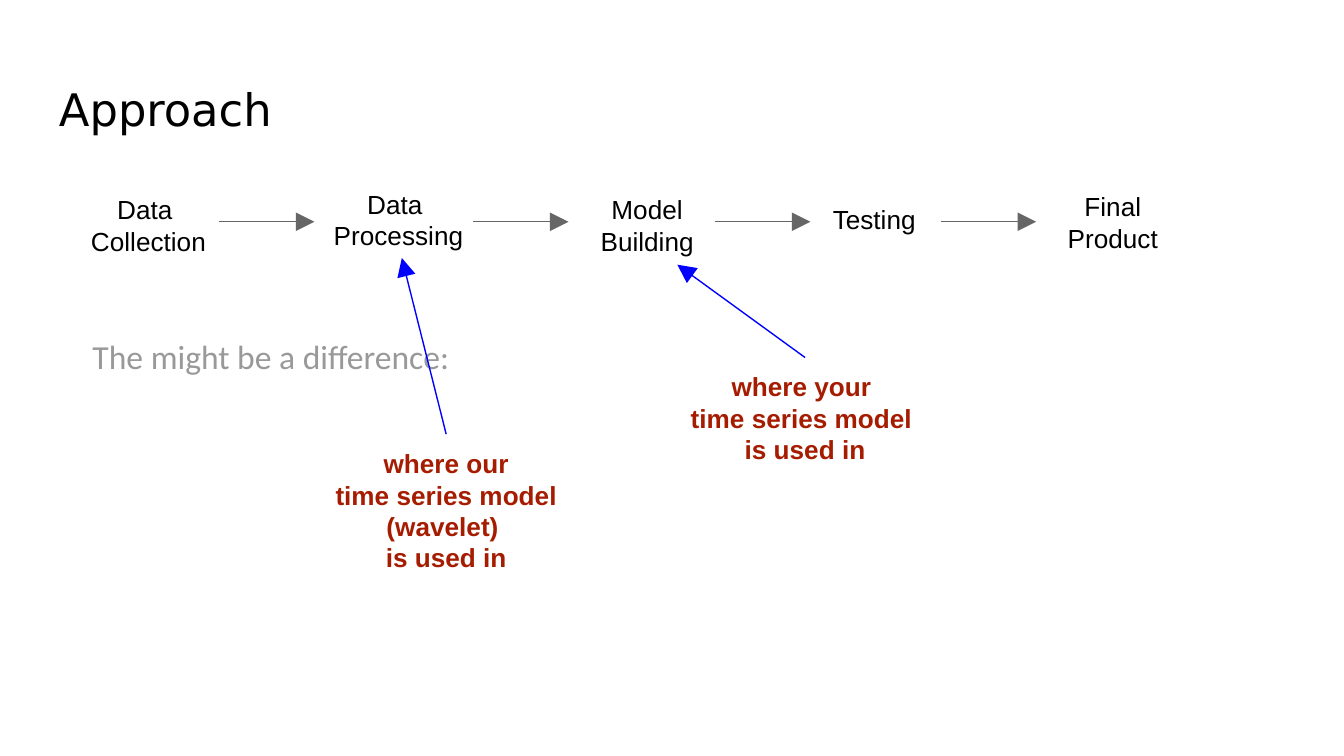
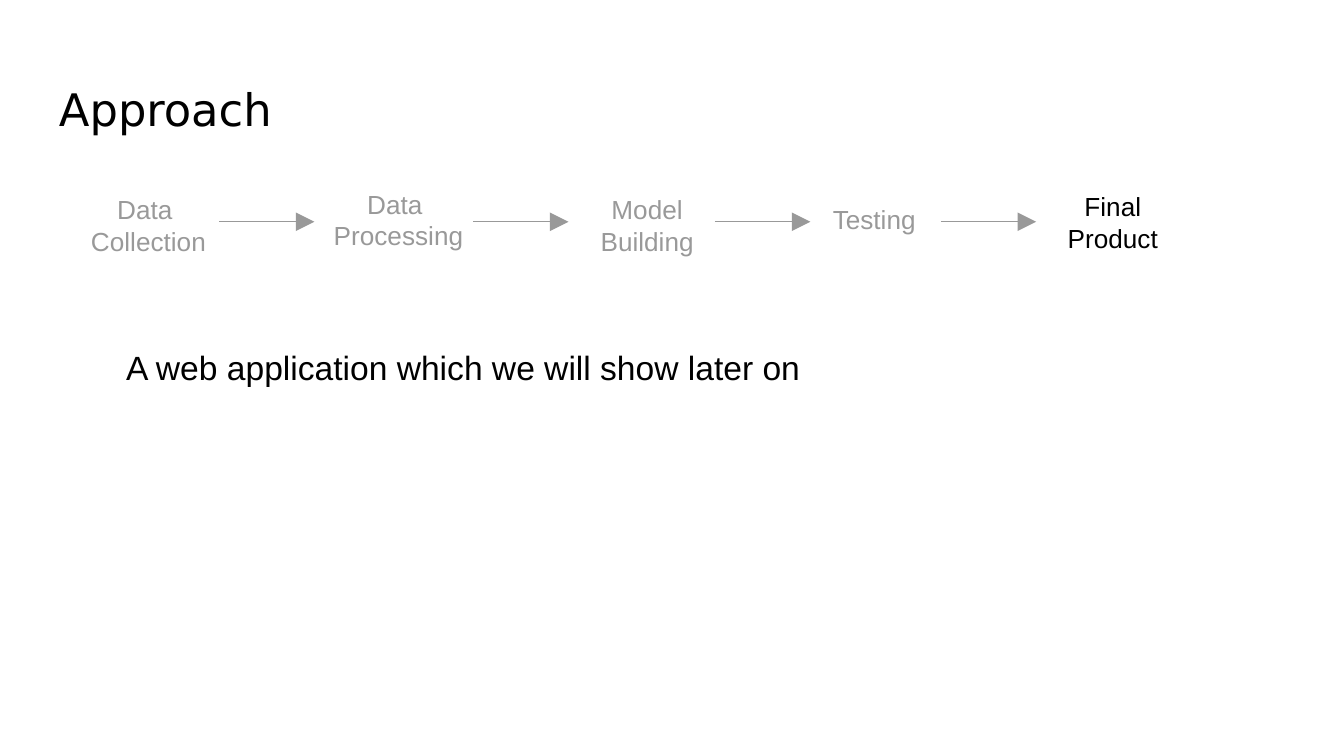
"""Build the two slides that walk through the project approach."""
from dataclasses import dataclass

from lxml.etree import SubElement
from pptx import Presentation
from pptx.dml.color import RGBColor
from pptx.enum.shapes import MSO_CONNECTOR as Connector
from pptx.enum.text import MSO_ANCHOR as Anchor, PP_ALIGN as Align
from pptx.oxml.ns import qn
from pptx.slide import Slide
from pptx.util import Emu, Inches, Pt

WIDTH, HEIGHT = Inches(10), Inches(5.625)
CELL = WIDTH / 100
INSET = 1

BLACK, GREY, DIMMED = "000000", "666666", "999999"
RED, BLUE = "A61C00", "0000FF"


@dataclass(frozen=True)
class Style:
    font: str
    size: int
    color: str = BLACK
    bold: bool = False
    align: Align = Align.LEFT
    anchor: Anchor = Anchor.TOP


@dataclass(frozen=True)
class Label:
    text: str
    column: float
    row: float
    columns: float
    rows: float


@dataclass(frozen=True)
class Callout:
    label: Label
    target: tuple[float, float]


TITLE_STYLE = Style("DejaVu Sans", 24, anchor=Anchor.MIDDLE)
REMARK_STYLE = Style("Calibri", 18, DIMMED)
SUMMARY_STYLE = Style("Arial", 18)
CALLOUT_STYLE = Style("Arial", 14, RED, bold=True, align=Align.CENTER)

TITLE = Label("Approach", 3.4, 4.9, 93.2, 6.3)
STEPS = (
    Label("Data \nCollection", 4.8, 13.4, 12.5, 6.3),
    Label("Data \nProcessing", 23.4, 13, 12.5, 7),
    Label("Model\nBuilding", 41.9, 13.4, 12.5, 6.3),
    Label("Testing", 58.8, 14.1, 12.5, 4.8),
    Label("Final\nProduct", 77.9, 13.2, 9.8, 6.7),
)
FLOW_ROW, FLOW_LENGTH = 16.5, 7.1
FLOW_STARTS = (16.3, 35.2, 53.2, 70)

REMARK = Label("The might be a difference:", 5.9, 24, 60, 5.1)
SUMMARY = Label("A web application which we will show later on", 8.4, 24.8, 66.4, 4.8)
CALLOUTS = (
    Callout(
        Label("where your \ntime series model \nis used in", 49.8, 26.6, 20.2, 8.7),
        (50.4, 19.7),
    ),
    Callout(
        Label("where our\ntime series model\v(wavelet) \nis used in", 23.1, 32.3, 20.2, 11.8),
        (29.9, 19.2),
    ),
)


def cells(count: float) -> Emu:
    """Turn a number of grid cells into a length."""
    return Emu(round(count * CELL))


def rgb(color: str) -> RGBColor:
    """Turn a hex string into a colour."""
    return RGBColor.from_string(color)


def draw_label(slide: Slide, label: Label, style: Style) -> None:
    """Draw a text box in the given style."""
    box = slide.shapes.add_textbox(
        cells(label.column), cells(label.row), cells(label.columns), cells(label.rows)
    )
    frame = box.text_frame
    frame.word_wrap = True
    frame.vertical_anchor = style.anchor
    frame.margin_left = frame.margin_right = cells(INSET)
    frame.margin_top = frame.margin_bottom = cells(INSET)
    frame.text = label.text
    for paragraph in frame.paragraphs:
        paragraph.alignment = style.align
        for run in paragraph.runs:
            run.font.name = style.font
            run.font.size = Pt(style.size)
            run.font.bold = style.bold
            run.font.color.rgb = rgb(style.color)


def draw_arrow(
    slide: Slide, start: tuple[float, float], end: tuple[float, float], color: str
) -> None:
    """Draw a thin arrow with a large triangular head."""
    arrow = slide.shapes.add_connector(
        Connector.STRAIGHT, *(cells(count) for count in (*start, *end))
    )
    arrow.line.color.rgb = rgb(color)
    arrow.line.width = Pt(0.75)
    SubElement(arrow.line._get_or_add_ln(), qn("a:tailEnd"), type="triangle", w="lg", len="lg")
    SubElement(arrow._element.spPr, qn("a:effectLst"))


def draw_callout(slide: Slide, callout: Callout) -> None:
    """Draw a callout with an arrow from its top centre to its target."""
    label = callout.label
    draw_label(slide, label, CALLOUT_STYLE)
    top_centre = (label.column + label.columns / 2, label.row)
    draw_arrow(slide, top_centre, callout.target, BLUE)


def add_approach_slide(
    deck: Presentation, step_color: str, final_color: str, flow_color: str
) -> Slide:
    """Add a slide with the title and the chain of steps."""
    slide = deck.slides.add_slide(deck.slide_layouts[6])
    draw_label(slide, TITLE, TITLE_STYLE)
    for step in STEPS:
        color = final_color if step is STEPS[-1] else step_color
        draw_label(slide, step, Style("Arial", 14, color, align=Align.CENTER))
    for start in FLOW_STARTS:
        draw_arrow(slide, (start, FLOW_ROW), (start + FLOW_LENGTH, FLOW_ROW), flow_color)
    return slide


def main() -> None:
    """Build and save the deck."""
    deck = Presentation()
    deck.slide_width, deck.slide_height = WIDTH, HEIGHT

    difference = add_approach_slide(deck, BLACK, BLACK, GREY)
    draw_label(difference, REMARK, REMARK_STYLE)
    for callout in CALLOUTS:
        draw_callout(difference, callout)

    product = add_approach_slide(deck, DIMMED, BLACK, DIMMED)
    draw_label(product, SUMMARY, SUMMARY_STYLE)

    deck.save("out.pptx")


if __name__ == "__main__":
    main()
